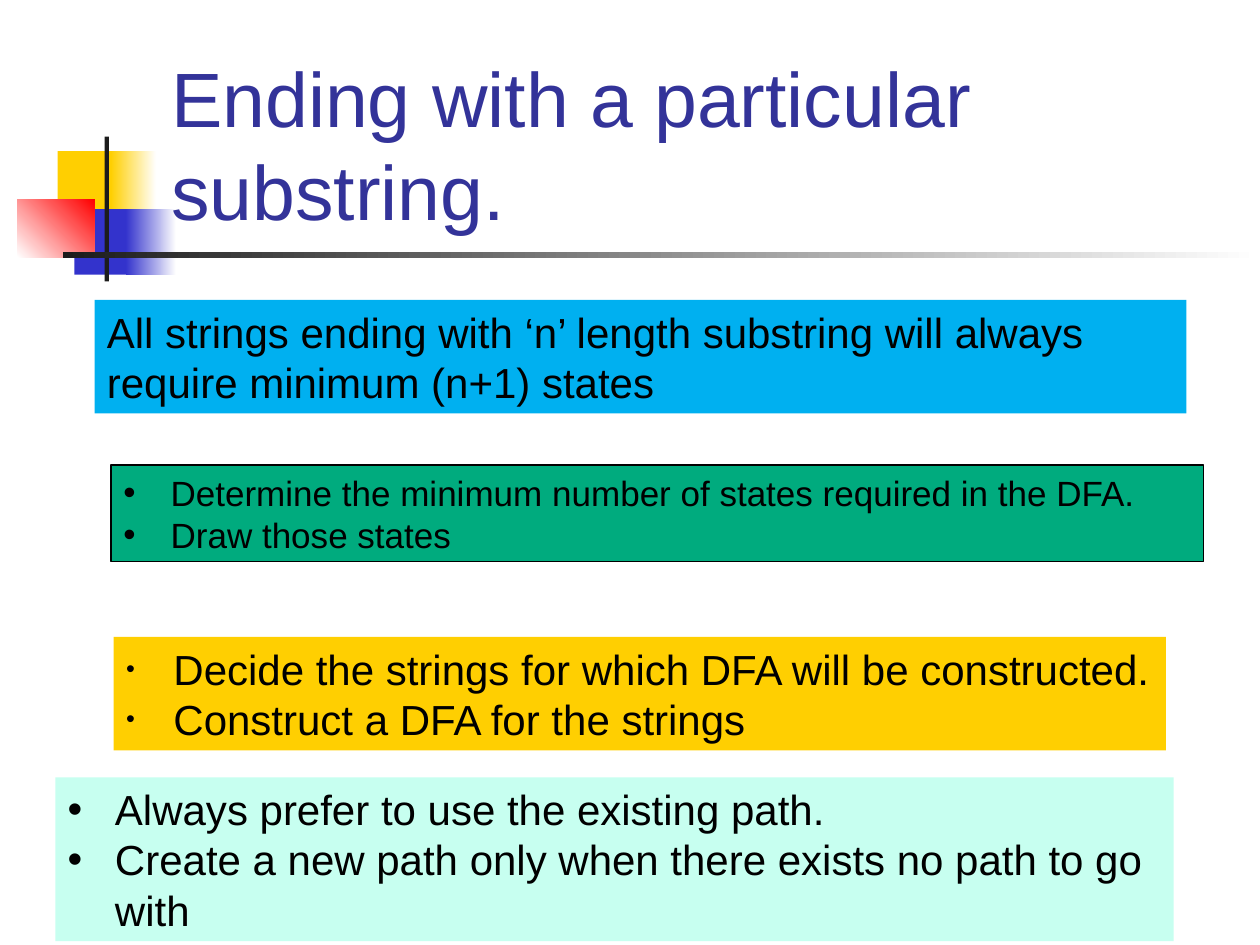
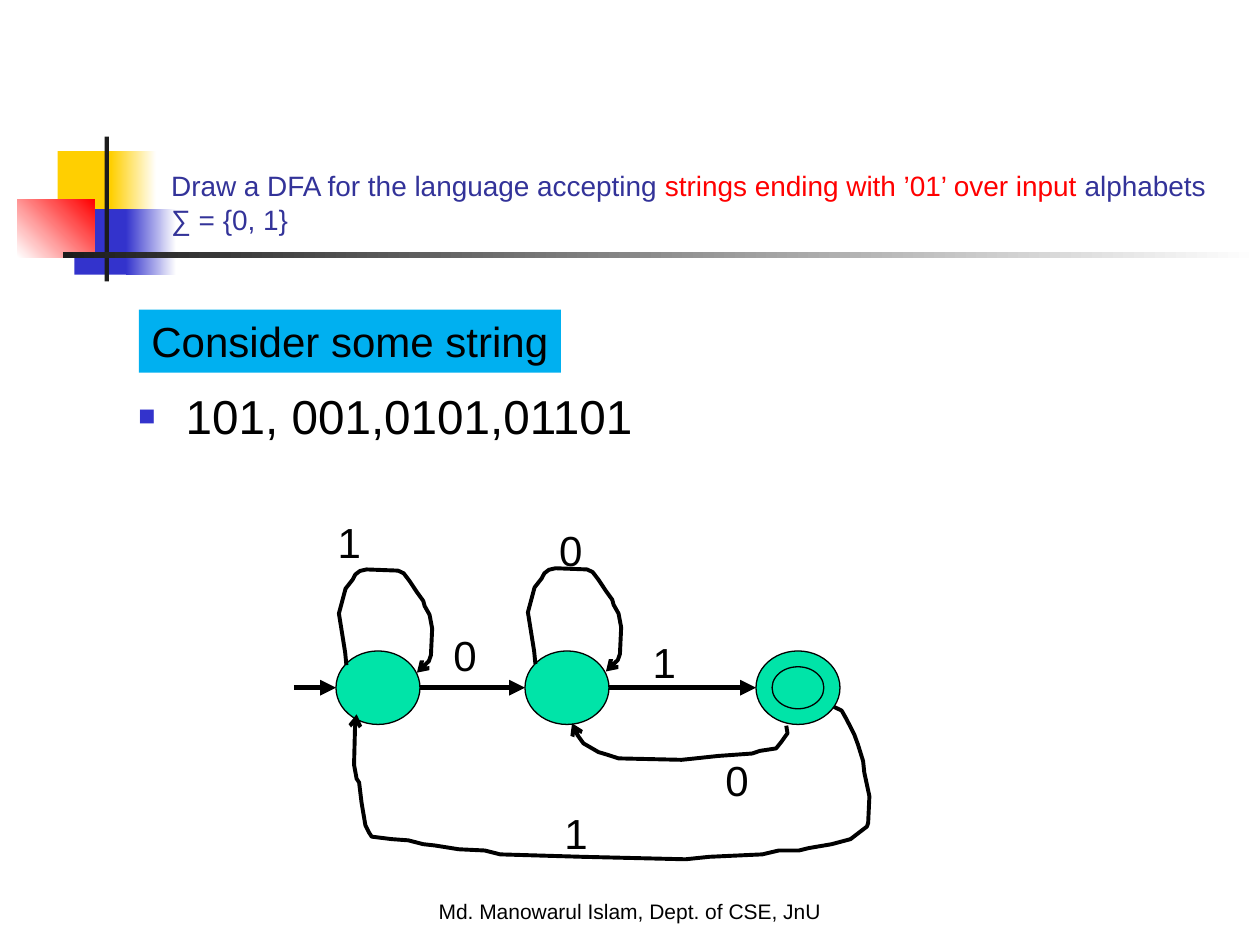
from dataclasses import dataclass
from typing import Optional

import pptx
import pptx.dml.color
import pptx.enum.dml
import pptx.enum.shapes
import pptx.enum.text
import pptx.oxml
import pptx.oxml.ns
import pptx.util
from pptx.util import Pt

Shapes = pptx.enum.shapes.MSO_SHAPE
Anchor = pptx.enum.text.MSO_ANCHOR
Align = pptx.enum.text.PP_ALIGN
Point = tuple[float, float]


@dataclass(frozen=True)
class Theme:
    font: str = "Arial"
    black: str = "000000"
    white: str = "FFFFFF"
    ink: str = "1C1C1C"
    title: str = "333399"
    red: str = "FF0000"
    yellow: str = "FFCF01"
    blue: str = "3333CC"
    sky: str = "00B0F0"
    green: str = "00AB7E"
    mint: str = "C7FFF0"
    state: str = "00E4A8"
    title_size: float = 44
    question_size: float = 16
    example_size: float = 27.2
    body_size: float = 24
    step_size: float = 20
    footer_size: float = 12
    outline: float = 0.75
    arc: float = 2.25
    arrow: float = 3


THEME = Theme()


@dataclass(frozen=True)
class Frame:
    left: float
    top: float
    width: float
    height: float

    def lengths(self) -> tuple:
        return Pt(self.left), Pt(self.top), Pt(self.width), Pt(self.height)


@dataclass(frozen=True)
class Band:
    """A decoration; with an end colour it is a gradient."""
    frame: Frame
    start: str
    end: Optional[str] = None
    angle: float = 0


@dataclass(frozen=True)
class Bullet:
    char: str = "•"
    color: str = THEME.black
    percent: int = 100


@dataclass(frozen=True)
class TextBlock:
    frame: Frame
    lines: tuple[str, ...]
    size: float = THEME.body_size
    color: str = THEME.black
    fill: Optional[str] = None
    outlined: bool = False
    bullet: Optional[Bullet] = None
    anchor: Anchor = Anchor.TOP
    align: Align = Align.LEFT
    wrap: bool = True


BANDS = (
    Band(Frame(33, 86.4, 34.5, 37.4), THEME.yellow),
    Band(Frame(63.4, 86.4, 25.9, 37.4), THEME.yellow, THEME.white),
    Band(Frame(42.5, 119.5, 33.1, 37.4), THEME.blue),
    Band(Frame(72, 119.5, 28.8, 37.4), THEME.blue, THEME.white),
    Band(Frame(10, 113.8, 44, 33.1), THEME.white, THEME.red, 45),
    Band(Frame(59.8, 78, 2.4, 82.8), THEME.ink),
    Band(Frame(36, 144, 684, 3.6), THEME.ink, THEME.white),
)
TITLE_FRAME = Frame(90.7, 48.2, 613.4, 90)
FOOTER = TextBlock(Frame(0, 509.8, 720, 21.6), ("Md. Manowarul Islam, Dept. of CSE, JnU",),
                   THEME.footer_size, align=Align.CENTER)

ADVICE = (
    TextBlock(Frame(63.4, 265.7, 624.2, 55.4),
              ("Determine the minimum number of states required in the DFA.", "Draw those states"),
              THEME.step_size, fill=THEME.green, outlined=True, bullet=Bullet()),
    TextBlock(Frame(65, 364, 601.2, 64.8),
              ("Decide the strings for which DFA will be constructed.",
               "Construct a DFA for the strings"),
              fill=THEME.yellow, bullet=Bullet(percent=60), wrap=False),
    TextBlock(Frame(31.6, 444.2, 639, 93.6),
              ("Always prefer to use the existing path.",
               "Create a new path only when there exists no path to go with"),
              fill=THEME.mint, bullet=Bullet(), anchor=Anchor.MIDDLE),
    TextBlock(Frame(54, 171.4, 624, 64.8),
              ("All strings ending with ‘n’ length substring will always "
               "require minimum (n+1) states",), fill=THEME.sky),
)
EXAMPLES = (
    TextBlock(Frame(72, 217.4, 378, 41.8), ("101, 001,0101,01101",), THEME.example_size,
              bullet=Bullet("■", THEME.blue, 60)),
    TextBlock(Frame(79.4, 177, 241.2, 36), ("Consider some string",),
              fill=THEME.sky, wrap=False),
)

STATE_LEFTS = (192, 300, 432)
STATE_TOP, STATE_WIDTH, STATE_HEIGHT = 372, 48, 42
ENTRY_LEFT = 168
TRANSITION_LABELS = (("0", 252, 356.4), ("1", 365.8, 360), ("1", 185.8, 291.6),
                     ("0", 312.5, 295.9), ("0", 407.5, 427.7), ("1", 315.4, 457.9))
LOOP_ORIGINS = ((193.7, 325.4), (301.7, 324.7))
LOOP = ((4.3, 54.7), (3.6, 47.5), (0, 25.2), (3.8, 11), (7.9, 5.8), (9.4, 2.9), (12, 0.9),
        (15.8, 0), (33.8, 0.7), (37, 2.2), (40.3, 6.5), (44.6, 13), (48.2, 18), (49, 20.9),
        (51.8, 25.9), (53.3, 33.8), (52.6, 49), (51.4, 52.5), (49, 54.7), (46.8, 56.9),
        (44.6, 59))
BACK_TO_MIDDLE = ((449.3, 414.7), (450, 419), (446.4, 424.1), (443.5, 427.7), (434.2, 429.1),
                  (429.8, 430.6), (410.4, 432), (397.4, 433.4), (389.5, 434.2), (353.5, 433.4),
                  (347, 431.3), (342, 429.8), (333.4, 424.8), (329.8, 419.8), (329, 417.6),
                  (326.9, 413.3))
BACK_TO_START = ((476.6, 403.9), (481, 406.1), (483.8, 411.1), (488.2, 419.8), (490.3, 425.5),
                 (493.2, 434.9), (493.9, 441.4), (496.8, 455), (496.1, 470.2), (495.4, 472.3),
                 (486, 479.5), (475.2, 482.4), (462.2, 484.6), (456.5, 486), (445, 486),
                 (435.6, 488.2), (405.4, 489.6), (391.7, 491), (332.6, 489.6), (285.8, 488.2),
                 (277, 486), (262.1, 485.3), (248.4, 483.1), (241.9, 482.4), (233.3, 480.2),
                 (223.9, 479.5), (212.4, 478.1), (211, 475.9), (208.8, 471.6), (206.6, 458.6),
                 (205.2, 447.1), (203.8, 445), (202.3, 437), (203, 411.1), (203.8, 408.2))


def rgb(color: str) -> pptx.dml.color.RGBColor:
    return pptx.dml.color.RGBColor.from_string(color)


def append_xml(parent, tag: str, **attributes: str):
    child = pptx.oxml.parse_xml(f'<a:{tag} {pptx.oxml.ns.nsdecls("a")}/>')
    for name, value in attributes.items():
        child.set(name, value)
    parent.append(child)
    return child


def paint(shape, color: str) -> None:
    shape.fill.solid()
    shape.fill.fore_color.rgb = rgb(color)


def outline(shape, width: float) -> None:
    shape.line.color.rgb = rgb(THEME.black)
    shape.line.width = Pt(width)


def style_font(font, size: float, color: str) -> None:
    font.name = THEME.font
    font.size = Pt(size)
    font.color.rgb = rgb(color)


def add_band(page, band: Band) -> None:
    shape = page.shapes.add_shape(Shapes.RECTANGLE, *band.frame.lengths())
    shape.shadow.inherit = False
    shape.line.fill.background()
    if band.end is None:
        paint(shape, band.start)
        return
    shape.fill.gradient()
    shape.fill.gradient_angle = band.angle
    for stop, color, position in zip(shape.fill.gradient_stops, (band.start, band.end), (0, 1)):
        stop.color.rgb = rgb(color)
        stop.position = position


def add_bullet(para, bullet: Bullet) -> None:
    properties = para._p.get_or_add_pPr()
    properties.set("marL", str(Pt(27)))
    properties.set("indent", str(-Pt(27)))
    append_xml(append_xml(properties, "buClr"), "srgbClr", val=bullet.color)
    append_xml(properties, "buSzPct", val=str(bullet.percent * 1000))
    append_xml(properties, "buFont", typeface=THEME.font)
    append_xml(properties, "buChar", char=bullet.char)


def add_text(page, block: TextBlock) -> None:
    box = page.shapes.add_textbox(*block.frame.lengths())
    if block.fill:
        paint(box, block.fill)
    if block.outlined:
        outline(box, THEME.outline)
    frame = box.text_frame
    frame.word_wrap = block.wrap
    frame.vertical_anchor = block.anchor
    frame.text = "\n".join(block.lines)
    for para in frame.paragraphs:
        para.alignment = block.align
        if block.bullet:
            add_bullet(para, block.bullet)
        for span in para.runs:
            style_font(span.font, block.size, block.color)


def add_title(page, size: float, *pieces: tuple[str, str]) -> None:
    """Write the title from (text, colour) pieces."""
    box = page.shapes.add_textbox(*TITLE_FRAME.lengths())
    box.text_frame.word_wrap = True
    box.text_frame.vertical_anchor = Anchor.BOTTOM
    para = box.text_frame.paragraphs[0]
    for text, color in pieces:
        span = para.add_run()
        span.text = text
        style_font(span.font, size, color)


def add_state(page, frame: Frame) -> None:
    state = page.shapes.add_shape(Shapes.OVAL, *frame.lengths())
    state.shadow.inherit = False
    paint(state, THEME.state)
    outline(state, THEME.outline)


def add_arrow(page, start: float, end: float) -> None:
    middle = Pt(STATE_TOP + STATE_HEIGHT / 2)
    arrow = page.shapes.add_connector(pptx.enum.shapes.MSO_CONNECTOR.STRAIGHT,
                                      Pt(start), middle, Pt(end), middle)
    outline(arrow, THEME.arrow)
    append_xml(arrow.line._get_or_add_ln(), "tailEnd", type="triangle")
    append_xml(arrow._element.spPr, "effectLst")


def add_arc(page, points: tuple[Point, ...], origin: Point = (0, 0)) -> None:
    """Draw an open line through the points, with an arrowhead at its end."""
    placed = [(Pt(origin[0] + x), Pt(origin[1] + y)) for x, y in points]
    builder = page.shapes.build_freeform(*placed[0])
    builder.add_line_segments(placed[1:], close=False)
    arc = builder.convert_to_shape()
    arc.shadow.inherit = False
    arc.fill.background()
    outline(arc, THEME.arc)
    line = arc.line._get_or_add_ln()
    append_xml(line, "round")
    append_xml(line, "tailEnd", type="arrow")


def add_automaton(page) -> None:
    for left in STATE_LEFTS:
        add_state(page, Frame(left, STATE_TOP, STATE_WIDTH, STATE_HEIGHT))
    add_state(page, Frame(441.2, 381, 29.6, 24))
    starts = (ENTRY_LEFT, *(left + STATE_WIDTH for left in STATE_LEFTS))
    for start, end in zip(starts, STATE_LEFTS):
        add_arrow(page, start, end)
    for origin in LOOP_ORIGINS:
        add_arc(page, LOOP, origin)
    add_arc(page, BACK_TO_MIDDLE)
    add_arc(page, BACK_TO_START)
    for symbol, left, top in TRANSITION_LABELS:
        add_text(page, TextBlock(Frame(left, top, 36, 36), (symbol,)))


def add_page(deck):
    page = deck.slides.add_slide(deck.slide_layouts[6])
    for band in BANDS:
        add_band(page, band)
    return page


def main() -> None:
    deck = pptx.Presentation()
    deck.slide_width, deck.slide_height = Pt(720), Pt(540)

    rules = add_page(deck)
    add_title(rules, THEME.title_size, ("Ending with a particular substring.", THEME.title))
    for block in ADVICE:
        add_text(rules, block)

    example = add_page(deck)
    add_text(example, FOOTER)
    add_title(example, THEME.question_size,
              ("Draw a DFA for the language accepting ", THEME.title),
              ("strings ending with ’01’ over input ", THEME.red),
              ("alphabets ∑ = {0, 1}", THEME.title))
    for block in EXAMPLES:
        add_text(example, block)
    add_automaton(example)

    deck.save("out.pptx")


if __name__ == "__main__":
    main()
